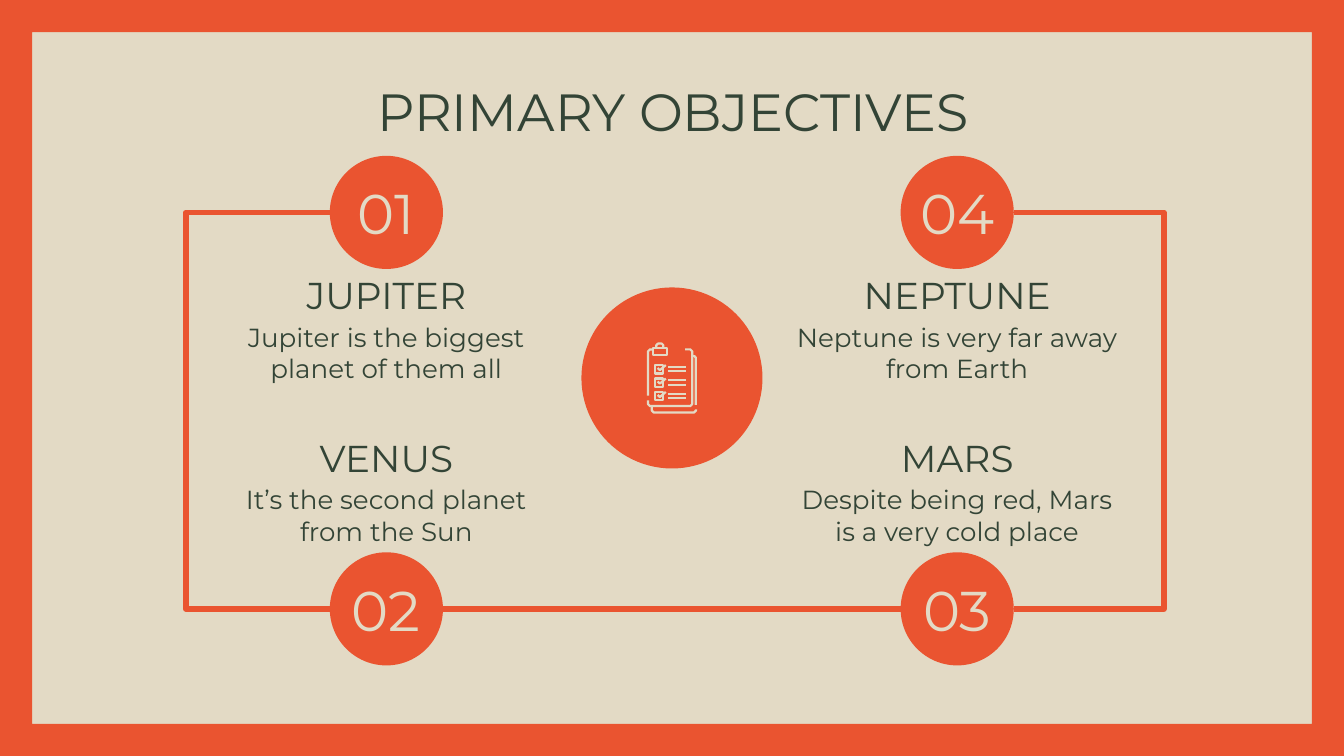
import pptx
import pptx.dml.color
import pptx.enum.shapes
import pptx.enum.text
import pptx.oxml.xmlchemy
import pptx.util
from lxml import etree

Pt = pptx.util.Pt
SHAPES = pptx.enum.shapes.MSO_SHAPE
ANCHOR = pptx.enum.text.MSO_ANCHOR
ORANGE, CREAM, GREEN = "EA5430", "E3DAC5", "334436"
FONT = "Montserrat"
CIRCLE = 60.6
LEFT_CENTER, RIGHT_CENTER = 207, 512.8
TOP_CENTER, BOTTOM_CENTER = 113.8, 326.2
OBJECTIVES = [
    ("01", "JUPITER", "Jupiter is the biggest planet of them all", LEFT_CENTER, TOP_CENTER, 144),
    ("02", "VENUS", "It’s the second planet from the Sun", LEFT_CENTER, BOTTOM_CENTER, 231.1),
    ("03", "MARS", "Despite being red, Mars is a very cold place", RIGHT_CENTER, BOTTOM_CENTER, 231.1),
    ("04", "NEPTUNE", "Neptune is very far away from Earth", RIGHT_CENTER, TOP_CENTER, 144),
]
CLIPBOARD_OUTLINES = [
    [(367, 187.2), (369.8, 187.2), (370.8, 188.2), (370.8, 216.6), (369.8, 217.6),
     (348.2, 217.6), (347.2, 216.6), (347.2, 214.5)],
    [(347.2, 212), (347.2, 188.2), (348.2, 187.2), (350, 187.2)],
    [(371.2, 190.7), (372.2, 190.9), (372.8, 191.7), (372.8, 217)],
    [(349.2, 218), (349.2, 220), (350.2, 221), (371.8, 221), (372.8, 220), (372.8, 219.4)],
    [(350, 186.3), (357.2, 186.3), (357.2, 190), (350, 190), (350, 186.3)],
    [(351.6, 186.3), (351.6, 184.9), (352.5, 184.1), (354.5, 184.1), (355.3, 184.9), (355.3, 186.3)],
]


def color(hex_value):
    return pptx.dml.color.RGBColor.from_string(hex_value)


def write_text(shape, text, size, hex_value, anchor, side_inset=7.2):
    frame = shape.text_frame
    frame.word_wrap = True
    frame.auto_size = pptx.enum.text.MSO_AUTO_SIZE.NONE
    frame.vertical_anchor = anchor
    frame.margin_left = frame.margin_right = Pt(side_inset)
    frame.margin_top = frame.margin_bottom = Pt(7.2)
    paragraph = frame.paragraphs[0]
    properties = paragraph._p.get_or_add_pPr()
    properties.set("marL", "0")
    properties.set("indent", "0")
    etree.SubElement(properties, pptx.oxml.ns.qn("a:buNone"))
    paragraph.alignment = pptx.enum.text.PP_ALIGN.CENTER
    paragraph.space_before = Pt(0)
    run = paragraph.add_run()
    run.text = text
    run.font.name = FONT
    run.font.size = Pt(size)
    run.font.bold = False
    run.font.color.rgb = color(hex_value)


def place(shape, left, top, width, height):
    shape.left, shape.top = Pt(left), Pt(top)
    shape.width, shape.height = Pt(width), Pt(height)


def add_filled(slide, kind, left, top, width, height):
    shape = slide.shapes.add_shape(kind, Pt(left), Pt(top), Pt(width), Pt(height))
    shape.shadow.inherit = False
    shape.fill.solid()
    shape.fill.fore_color.rgb = color(ORANGE)
    shape.line.fill.background()
    return shape


def add_circle(slide, center_x, center_y, diameter):
    return add_filled(slide, SHAPES.OVAL, center_x - diameter / 2,
                      center_y - diameter / 2, diameter, diameter)


def add_outline(shapes, points, hex_value, width):
    start, *rest = [(Pt(x), Pt(y)) for x, y in points]
    builder = shapes.build_freeform(*start)
    builder.add_line_segments(rest, close=False)
    shape = builder.convert_to_shape()
    shape.shadow.inherit = False
    shape.fill.background()
    shape.line.color.rgb = color(hex_value)
    shape.line.width = Pt(width)


def add_line(shapes, left, right, y, hex_value, width):
    connector = shapes.add_connector(pptx.enum.shapes.MSO_CONNECTOR.STRAIGHT,
                                     Pt(left), Pt(y), Pt(right), Pt(y))
    connector.line.color.rgb = color(hex_value)
    connector.line.width = Pt(width)
    etree.SubElement(connector._element.spPr, pptx.oxml.ns.qn("a:effectLst"))


def add_objective(slide, placeholder, number, name, description, center_x, center_y, top):
    left, width = center_x - 95.4, 190.8
    circle = add_circle(slide, center_x, center_y, CIRCLE)
    write_text(circle, number, 30, CREAM, ANCHOR.MIDDLE, 0)
    heading = slide.shapes.add_textbox(Pt(left), Pt(top), Pt(width), Pt(33.1))
    write_text(heading, name, 20, GREEN, ANCHOR.BOTTOM)
    place(placeholder, left, top + 20.9, width, 45.4)
    write_text(placeholder, description, 14, GREEN, ANCHOR.TOP)


def add_links(slide):
    radius = CIRCLE / 2
    for inner, outer in [(LEFT_CENTER - radius, 99.5), (RIGHT_CENTER + radius, 623.5)]:
        points = [(inner, TOP_CENTER), (outer, TOP_CENTER),
                  (outer, BOTTOM_CENTER), (inner, BOTTOM_CENTER)]
        add_outline(slide.shapes, points, ORANGE, 3)
    add_line(slide.shapes, LEFT_CENTER + radius, RIGHT_CENTER - radius, BOTTOM_CENTER, ORANGE, 3)


def add_clipboard(slide):
    shapes = slide.shapes.add_group_shape().shapes
    for points in CLIPBOARD_OUTLINES:
        add_outline(shapes, points, CREAM, 1.2)
    for row in range(3):
        top = 195.6 + 7.2 * row
        box = [(350.7, top), (355.2, top), (355.2, top + 4.5), (350.7, top + 4.5), (350.7, top)]
        check = [(352.3, top + 1.6), (353.5, top + 2.7), (356.7, top)]
        for points in (box, check):
            add_outline(shapes, points, CREAM, 1.2)
        for offset in (0.9, 3.3):
            add_line(shapes, 357.8, 367.4, top + offset, CREAM, 1.2)


def main():
    presentation = pptx.Presentation()
    presentation.slide_width, presentation.slide_height = Pt(720), Pt(405)
    slide = presentation.slides.add_slide(presentation.slide_layouts.get_by_name("Comparison"))
    slide.background.fill.solid()
    slide.background.fill.fore_color.rgb = color(CREAM)
    border = add_filled(slide, SHAPES.FRAME, 0, 0, 720, 405)
    border.adjustments[0] = 17.2 / 405

    title, *bodies = list(slide.placeholders)[:5]
    place(title, 56.9, 35.3, 607, 45.4)
    write_text(title, "PRIMARY OBJECTIVES", 28, GREEN, ANCHOR.TOP)
    add_links(slide)
    for body, objective in zip(bodies, OBJECTIVES):
        add_objective(slide, body, *objective)
    add_circle(slide, 360, 202.5, 97)
    add_clipboard(slide)
    presentation.save("out.pptx")


if __name__ == "__main__":
    main()
